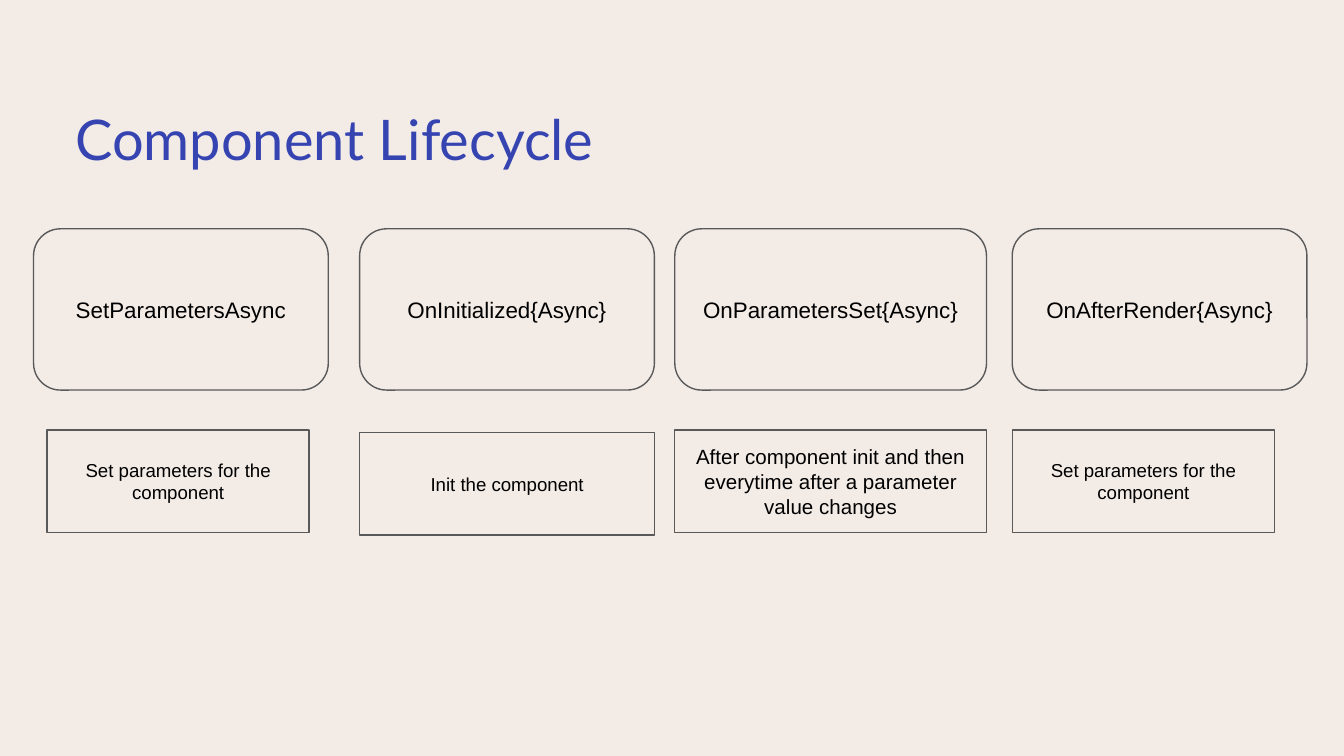
from pptx import Presentation
from pptx.dml.color import RGBColor
from pptx.enum.shapes import MSO_SHAPE
from pptx.enum.text import MSO_ANCHOR, PP_ALIGN
from pptx.util import Pt

ROUND, RECT = MSO_SHAPE.ROUNDED_RECTANGLE, MSO_SHAPE.RECTANGLE
TOP, MIDDLE = MSO_ANCHOR.TOP, MSO_ANCHOR.MIDDLE
LEFT, CENTER = PP_ALIGN.LEFT, PP_ALIGN.CENTER
TITLE_ONLY = 5

COLORS = {"back": "F2EBE6", "title": "3544B1", "line": "595959", "text": "000000"}

# method, left, width; note, left, top, width, text size
STAGES = [
    ("SetParametersAsync", 18, 157.9,
     "Set parameters for the component", 25.2, 230.4, 140.4, 10),
    ("OnInitialized{Async}", 192.7, 157.9,
     "Init the component", 192.7, 231.8, 157.9, 10),
    ("OnParametersSet{Async}", 361.5, 167,
     "After component init and then everytime after a parameter value changes",
     361.5, 230.4, 167, 11),
    ("OnAfterRender{Async}", 542.3, 157.9,
     "Set parameters for the component", 542.3, 230.4, 140.4, 10),
]


def color(name):
    return RGBColor.from_string(COLORS[name])


def write(shape, text, size, font="Arial", ink="text", align=CENTER, anchor=MIDDLE):
    frame = shape.text_frame
    frame.word_wrap = True
    frame.vertical_anchor = anchor
    frame.margin_left = frame.margin_right = Pt(7.2)
    frame.margin_top = frame.margin_bottom = Pt(7.2)
    para = frame.paragraphs[0]
    para.alignment = align
    run = para.add_run()
    run.text = text
    run.font.name = font
    run.font.size = Pt(size)
    run.font.color.rgb = color(ink)


def add_title(slide, text):
    title = slide.shapes.title
    title.left, title.top = Pt(33.1), Pt(49)
    title.width, title.height = Pt(331.9), Pt(51.1)
    write(title, text, 30, "Lato", "title", LEFT, TOP)


def add_box(slide, kind, left, top, width, height, text, size):
    box = slide.shapes.add_shape(kind, Pt(left), Pt(top), Pt(width), Pt(height))
    box.shadow.inherit = False
    box.fill.solid()
    box.fill.fore_color.rgb = color("back")
    box.line.color.rgb = color("line")
    box.line.width = Pt(0.75)
    write(box, text, size)


def main():
    deck = Presentation()
    deck.slide_width, deck.slide_height = Pt(720), Pt(405)
    slide = deck.slides.add_slide(deck.slide_layouts[TITLE_ONLY])
    slide.background.fill.solid()
    slide.background.fill.fore_color.rgb = color("back")

    add_title(slide, "Component Lifecycle")
    for method, left, width, note, x, y, span, size in STAGES:
        add_box(slide, ROUND, left, 122.6, width, 86.4, method, 12)
        add_box(slide, RECT, x, y, span, 54.8, note, size)

    deck.save("out.pptx")


if __name__ == "__main__":
    main()
